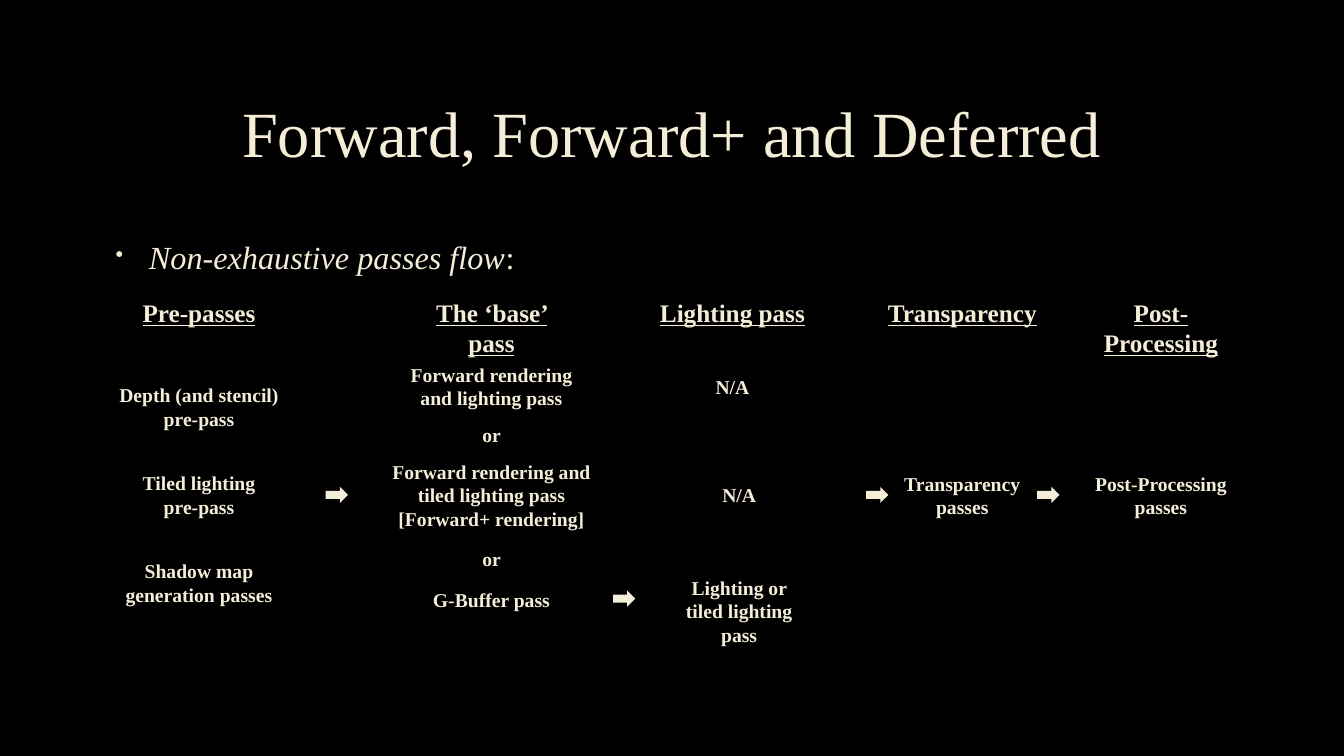
from dataclasses import dataclass

from lxml.etree import SubElement
from pptx import Presentation
from pptx.dml.color import RGBColor
from pptx.enum.shapes import MSO_SHAPE as Shape
from pptx.enum.text import MSO_ANCHOR as Anchor, MSO_AUTO_SIZE as AutoSize, PP_ALIGN as Align
from pptx.oxml.ns import qn
from pptx.slide import Slide
from pptx.text.text import TextFrame
from pptx.util import Inches, Pt

WIDTH, HEIGHT = Inches(13.33), Inches(7.5)
FONT = "Times New Roman"
COLORS = {"background": "000000", "ink": "F4EDD8"}

# Horizontal places are percent of the slide width, vertical ones of its height.
PRE, BASE, LIGHTING, TRANSPARENCY, POST = 14.81, 36.57, 55.0, 71.6, 86.38
HEADING_TOP, HEADING_WIDTH, HEADING_HEIGHT = 38.67, 13.13, 5.33
BOX_PADDING, LINE_HEIGHT = 1.33, 3.15
ARROW_WIDTH, ARROW_HEIGHT = 1.65, 2.13
FLOW_ROW, GBUFFER_ROW = 65.47, 79.2


@dataclass
class Label:
    text: str
    center: float
    top: float
    width: float
    lines: int = 1


@dataclass
class Arrow:
    center: float
    middle: float


HEADINGS = {
    "Pre-passes": PRE,
    "The ‘base’ pass": BASE,
    "Lighting pass": 54.5,
    "Transparency": TRANSPARENCY,
    "Post-Processing": POST,
}

PASSES = [
    Label("Depth (and stencil) pre-pass", PRE, 50, 15, 2),
    Label("Tiled lighting pre-pass", PRE, 61.67, 11.7, 2),
    Label("Shadow map generation passes", PRE, 73.33, 14.33, 2),
    Label("Forward rendering and lighting pass", BASE, 47.33, 15.23, 2),
    Label("or", BASE, 55.33, 3.15),
    Label("Forward rendering and tiled lighting pass\n[Forward+ rendering]",
          BASE, 60.13, 17.93, 3),
    Label("or", BASE, 71.73, 3.15),
    Label("G-Buffer pass", BASE, 77.07, 11.7),
    Label("N/A", 54.5, 48.93, 5.18),
    Label("N/A", LIGHTING, 63.2, 5.18),
    Label("Lighting or tiled lighting pass", LIGHTING, 75.47, 11.4, 3),
    Label("Transparency passes", TRANSPARENCY, 61.73, 11.4, 2),
    Label("Post-Processing passes", POST, 61.73, 12.08, 2),
]

ARROWS = [
    Arrow(25.06, FLOW_ROW),
    Arrow(46.44, GBUFFER_ROW),
    Arrow(65.27, FLOW_ROW),
    Arrow(78.0, FLOW_ROW),
]


def rgb(name: str) -> RGBColor:
    return RGBColor.from_string(COLORS[name])


def place(left: float, top: float, width: float, height: float) -> tuple[int, ...]:
    """Turn percentages of the slide into lengths."""
    return (int(WIDTH * left / 100), int(HEIGHT * top / 100),
            int(WIDTH * width / 100), int(HEIGHT * height / 100))


def add_text(s: Slide, text: str, box: tuple[int, ...]) -> TextFrame:
    tf = s.shapes.add_textbox(*box).text_frame
    tf.word_wrap = True
    tf.text = text
    return tf


def style(tf: TextFrame, size: float, bold: bool = False, underline: bool = False) -> None:
    for p in tf.paragraphs:
        for r in p.runs:
            r.font.name, r.font.size = FONT, Pt(size)
            r.font.bold, r.font.underline = bold, underline
            r.font.color.rgb = rgb("ink")


def add_title(s: Slide) -> None:
    tf = add_text(s, "Forward, Forward+ and Deferred", place(7.5, 8.93, 84.92, 18.4))
    tf.vertical_anchor = Anchor.MIDDLE
    p = tf.paragraphs[0]
    p.alignment, p.line_spacing = Align.CENTER, 0.9
    style(tf, 46)


def add_intro(s: Slide) -> None:
    tf = add_text(s, "Non-exhaustive passes flow", place(7.5, 30.27, 84.92, 54.13))
    p = tf.paragraphs[0]
    p.runs[0].font.italic = True
    p.add_run().text = ":"
    p.line_spacing, p.space_before, p.space_after = 1.1, Pt(4.6), Pt(6)
    style(tf, 23)
    pPr = p._p.get_or_add_pPr()
    pPr.set("marL", str(Inches(0.38)))
    pPr.set("indent", str(Inches(-0.33)))
    bullet_color = SubElement(pPr, qn("a:buClr"))
    SubElement(bullet_color, qn("a:srgbClr"), val=COLORS["ink"])
    SubElement(pPr, qn("a:buSzPct"), val="70000")
    SubElement(pPr, qn("a:buChar"), char="•")


def add_label(s: Slide, label: Label, height: float, size: float, underline: bool = False) -> None:
    left = label.center - label.width / 2
    tf = add_text(s, label.text, place(left, label.top, label.width, height))
    tf.auto_size = AutoSize.SHAPE_TO_FIT_TEXT
    for p in tf.paragraphs:
        p.alignment = Align.CENTER
    style(tf, size, bold=True, underline=underline)


def add_arrow(s: Slide, arrow: Arrow) -> None:
    box = place(arrow.center - ARROW_WIDTH / 2, arrow.middle - ARROW_HEIGHT / 2,
                ARROW_WIDTH, ARROW_HEIGHT)
    sp = s.shapes.add_shape(Shape.RIGHT_ARROW, *box)
    sp.shadow.inherit = False
    sp.fill.solid()
    sp.fill.fore_color.rgb = rgb("ink")
    sp.line.fill.background()


def main() -> None:
    prs = Presentation()
    prs.slide_width, prs.slide_height = WIDTH, HEIGHT
    s = prs.slides.add_slide(prs.slide_layouts[6])
    s.background.fill.solid()
    s.background.fill.fore_color.rgb = rgb("background")
    add_title(s)
    add_intro(s)
    for text, center in HEADINGS.items():
        heading = Label(text, center, HEADING_TOP, HEADING_WIDTH)
        add_label(s, heading, HEADING_HEIGHT, 18, underline=True)
    for label in PASSES:
        add_label(s, label, BOX_PADDING + label.lines * LINE_HEIGHT, 14)
    for arrow in ARROWS:
        add_arrow(s, arrow)
    prs.save("out.pptx")


if __name__ == "__main__":
    main()
